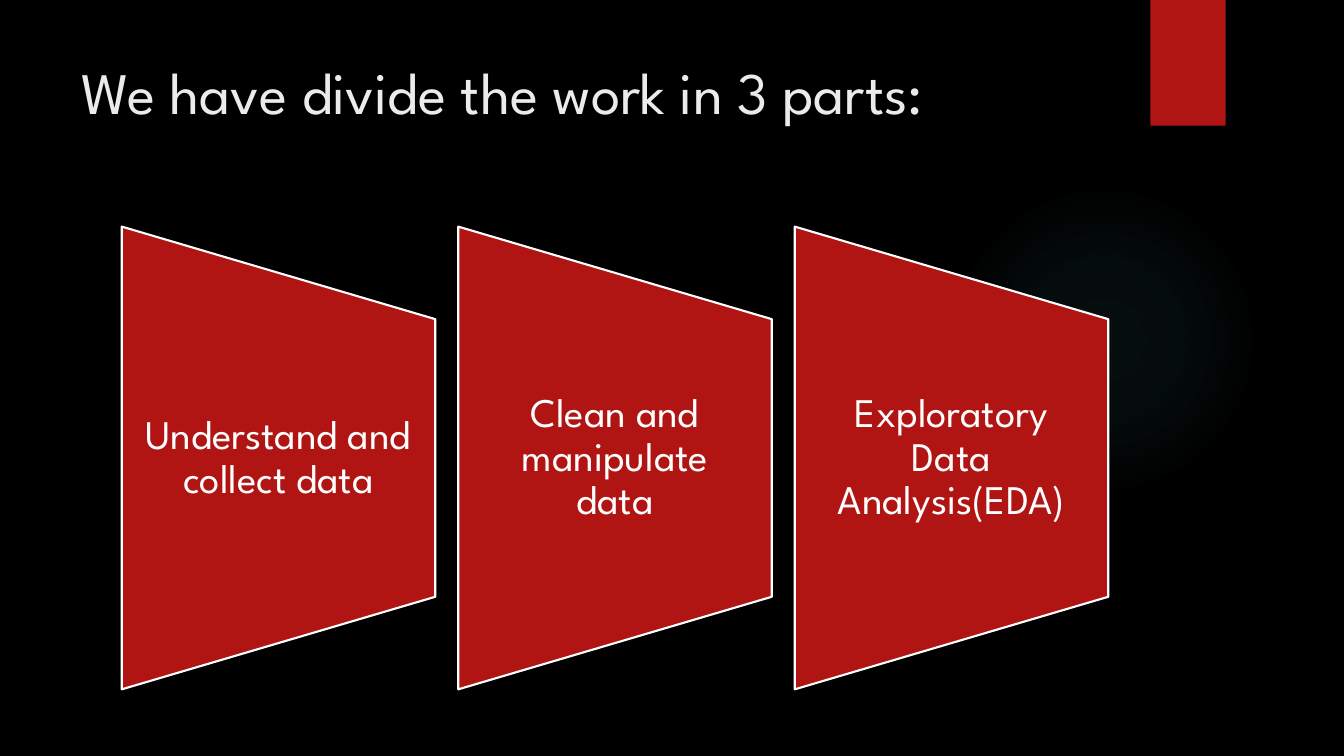
from dataclasses import dataclass

from lxml import etree
from pptx import Presentation
from pptx.dml.color import RGBColor
from pptx.enum.shapes import MSO_SHAPE
from pptx.enum.text import MSO_ANCHOR, MSO_AUTO_SIZE, PP_ALIGN
from pptx.oxml.ns import qn
from pptx.util import Cm, Pt

ELLIPSE = MSO_SHAPE.OVAL
RECTANGLE = MSO_SHAPE.RECTANGLE
TRAPEZOID = MSO_SHAPE.FLOWCHART_MANUAL_OPERATION
TOP, MIDDLE = MSO_ANCHOR.TOP, MSO_ANCHOR.MIDDLE
LEFT, CENTER = PP_ALIGN.LEFT, PP_ALIGN.CENTER
NO_AUTOFIT = MSO_AUTO_SIZE.NONE
TITLE_ONLY = 5


@dataclass(frozen=True)
class Theme:
    font: str = "League Spartan"
    background: str = "000000"
    accent: str = "B01513"
    outline: str = "FFFFFF"
    title: str = "EBEBEB"
    body: str = "FFFFFF"
    glow: str = "50B9C1"
    title_size: int = 42
    body_size: int = 29
    outline_width: float = 1.5


THEME = Theme()
TITLE = "We have divide the work in 3 parts:"
PARTS = [
    "Understand and collect data",
    "Clean and manipulate data",
    "Exploratory Data Analysis(EDA)",
]
# Glow stops: position and opacity, in percent
GLOW_STOPS = [(0, 7), (36, 6), (69, 0)]

# Row of parts, in centimetres
ROW_LEFT, ROW_MIDDLE = 3.07, 11.54
PART_WIDTH, PART_HEIGHT, PART_STEP = 7.9, 11.66, 8.48
LABEL_HEIGHT, LABEL_INSET = 6.99, 0.51


def color(value):
    return RGBColor.from_string(value)


def add_plain_shape(slide, kind, left, top, width, height):
    shape = slide.shapes.add_shape(kind, Cm(left), Cm(top), Cm(width), Cm(height))
    shape.shadow.inherit = False
    shape.fill.solid()
    shape.fill.fore_color.rgb = color(THEME.accent)
    shape.line.fill.background()
    return shape


def set_text(shape, text, size, text_color, alignment, anchor):
    frame = shape.text_frame
    frame.text = text
    frame.word_wrap = True
    frame.auto_size = NO_AUTOFIT
    frame.vertical_anchor = anchor
    paragraph = frame.paragraphs[0]
    paragraph.alignment = alignment
    font = paragraph.runs[0].font
    font.name = THEME.font
    font.size = Pt(size)
    font.color.rgb = color(text_color)
    return paragraph


def add_glow(slide):
    shape = add_plain_shape(slide, ELLIPSE, 23.9, 4.65, 7.82, 7.82)
    # Circular gradient with fading opacity
    gradient = etree.Element(qn("a:gradFill"), rotWithShape="1")
    stops = etree.SubElement(gradient, qn("a:gsLst"))
    for position, opacity in GLOW_STOPS:
        stop = etree.SubElement(stops, qn("a:gs"), pos=str(position * 1000))
        stop_color = etree.SubElement(stop, qn("a:srgbClr"), val=THEME.glow)
        etree.SubElement(stop_color, qn("a:alpha"), val=str(opacity * 1000))
    circle = etree.SubElement(gradient, qn("a:path"), path="circle")
    etree.SubElement(circle, qn("a:fillToRect"), l="50000", t="50000", r="50000", b="50000")
    properties = shape.element.spPr
    properties.replace(properties.find(qn("a:solidFill")), gradient)


def place_title(slide):
    title = slide.shapes.title
    title.left, title.top = Cm(1.8), Cm(1.27)
    title.width, title.height = Cm(26.14), Cm(3.89)
    set_text(title, TITLE, THEME.title_size, THEME.title, LEFT, TOP)


def add_part(slide, left, text):
    # The trapezoid lies on its side, so its own width is the visible height
    panel = add_plain_shape(
        slide, TRAPEZOID,
        left + (PART_WIDTH - PART_HEIGHT) / 2, ROW_MIDDLE - PART_WIDTH / 2,
        PART_HEIGHT, PART_WIDTH,
    )
    panel.rotation = 270
    panel.line.color.rgb = color(THEME.outline)
    panel.line.width = Pt(THEME.outline_width)

    label = slide.shapes.add_textbox(
        Cm(left), Cm(ROW_MIDDLE - LABEL_HEIGHT / 2), Cm(PART_WIDTH), Cm(LABEL_HEIGHT)
    )
    frame = label.text_frame
    frame.margin_left = frame.margin_right = Cm(LABEL_INSET)
    frame.margin_top = frame.margin_bottom = 0
    paragraph = set_text(label, text, THEME.body_size, THEME.body, CENTER, MIDDLE)
    paragraph.line_spacing = 0.9


def main():
    presentation = Presentation()
    presentation.slide_width, presentation.slide_height = Cm(33.87), Cm(19.05)
    slide = presentation.slides.add_slide(presentation.slide_layouts[TITLE_ONLY])
    slide.background.fill.solid()
    slide.background.fill.fore_color.rgb = color(THEME.background)

    # Decoration: glow and top tab
    add_glow(slide)
    add_plain_shape(slide, RECTANGLE, 28.99, 0, 1.9, 3.17)

    # Content
    place_title(slide)
    for index, text in enumerate(PARTS):
        add_part(slide, ROW_LEFT + index * PART_STEP, text)

    presentation.save("out.pptx")


if __name__ == "__main__":
    main()
